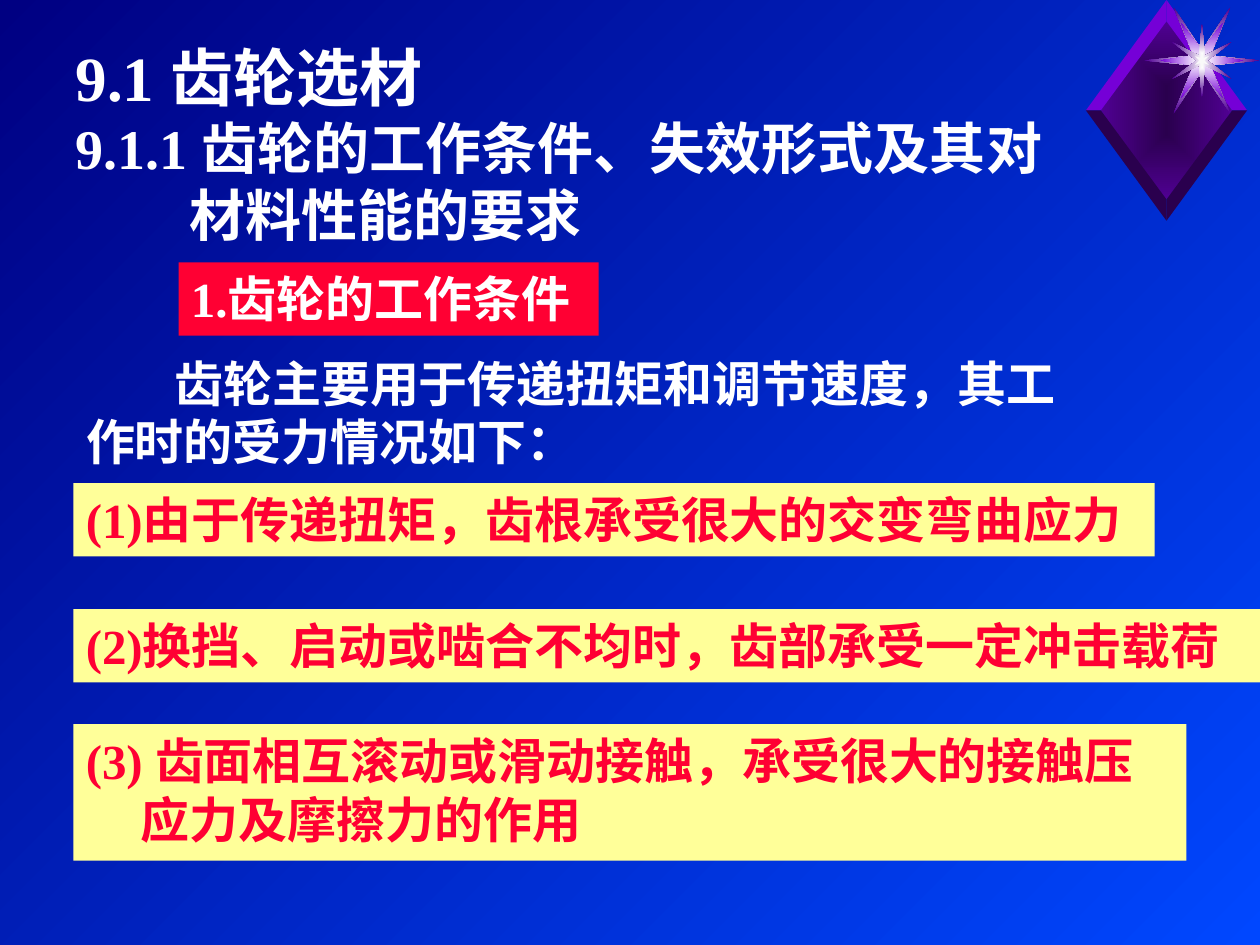
from dataclasses import dataclass

from lxml.etree import SubElement
from pptx import Presentation
from pptx.dml.color import RGBColor
from pptx.enum.lang import MSO_LANGUAGE_ID
from pptx.enum.shapes import MSO_SHAPE
from pptx.enum.text import MSO_ANCHOR, MSO_AUTO_SIZE, PP_ALIGN
from pptx.oxml.ns import qn
from pptx.util import Cm, Pt


@dataclass(frozen=True)
class Theme:
    font: str = "Times New Roman"
    title_size: int = 36
    subtitle_size: int = 32
    text_size: int = 28
    white: str = "FFFFFF"
    red: str = "FF0033"
    yellow: str = "FFFF99"
    blue: str = "0047FF"
    navy: str = "000082"
    violet: str = "7500D7"
    purple: str = "500093"
    plum: str = "2A004E"
    glint: str = "F9F9F9"


@dataclass(frozen=True)
class Box:
    left: float
    top: float
    width: float
    height: float


THEME = Theme()


def fill_solid(shape, color):
    shape.fill.solid()
    shape.fill.fore_color.rgb = RGBColor.from_string(color)


def fill_gradient(fill, first, last):
    fill.gradient()
    for stop, color in zip(fill.gradient_stops, (first, last)):
        stop.color.rgb = RGBColor.from_string(color)


def fill_from_center(shape, center, edge):
    fill_gradient(shape.fill, center, edge)
    gradient = shape._element.spPr.find(qn("a:gradFill"))
    gradient.remove(gradient.find(qn("a:lin")))
    path = SubElement(gradient, qn("a:path"), path="rect")
    SubElement(path, qn("a:fillToRect"), dict.fromkeys("ltrb", "50000"))


def strip_effects(shape):
    shape.line.fill.background()
    shape.shadow.inherit = False


def place(shape, box):
    shape.left, shape.top = Cm(box.left), Cm(box.top)
    shape.width, shape.height = Cm(box.width), Cm(box.height)


def prepare_frame(shape):
    frame = shape.text_frame
    frame.word_wrap = True
    frame.auto_size = MSO_AUTO_SIZE.NONE
    frame.vertical_anchor = MSO_ANCHOR.TOP
    return frame


def format_paragraph(para, size, color, margin=0, indent=0):
    properties = para._p.get_or_add_pPr()
    properties.set("marL", str(Cm(margin)))
    properties.set("indent", str(Cm(indent)))
    para.alignment = PP_ALIGN.LEFT
    para.space_before = Pt(0)
    SubElement(properties, qn("a:buNone"))
    for span in para.runs:
        span.font.name = THEME.font
        span.font.size = Pt(size)
        span.font.bold = True
        span.font.color.rgb = RGBColor.from_string(color)
        span.font.language_id = MSO_LANGUAGE_ID.SIMPLIFIED_CHINESE


def add_polygon(group, points, origin):
    corners = [(Cm(origin[0] + x), Cm(origin[1] + y)) for x, y in points]
    builder = group.shapes.build_freeform(*corners[0])
    builder.add_line_segments(corners[1:], close=True)
    shape = builder.convert_to_shape()
    strip_effects(shape)
    return shape


def star_outline(tip_x, first, second, tip_y):
    mirrored = [(-x, y) for x, y in (second, first)]
    half = [tip_x, first, second, tip_y, *mirrored]
    return half + [(-x, -y) for x, y in half]


def add_gem(page, box):
    group = page.shapes.add_group_shape()
    inset_x, inset_y = 0.3, 0.43
    half_width, half_height = box.width / 2, box.height / 2
    core = group.shapes.add_shape(
        MSO_SHAPE.DIAMOND,
        Cm(box.left + inset_x), Cm(box.top + inset_y),
        Cm(box.width - 2 * inset_x), Cm(box.height - 2 * inset_y),
    )
    strip_effects(core)
    fill_from_center(core, THEME.plum, THEME.purple)

    center = (box.left + half_width, box.top + half_height)
    facet = [
        (0, half_height - inset_y), (0, half_height),
        (half_width, 0), (half_width - inset_x, 0),
    ]
    for vertical, color in ((-1, THEME.violet), (1, THEME.plum)):
        for side in (1, -1):
            points = [(side * x, vertical * y) for x, y in facet]
            fill_solid(add_polygon(group, points, center), color)

    sparkle = (box.left + 2.34, box.top + 1.22)
    stars = (
        (((1.16, 0), (0.17, 0.1), (0.57, 1.07), (0, 0.2)), THEME.purple),
        (((0.84, 0), (0.17, 0.1), (0.42, 0.76), (0, 0.2)), THEME.violet),
        (((0.11, 0), (0.6, 0.37), (0.06, 0.1), (0, 0.74)), THEME.purple),
    )
    for quarter, edge in stars:
        star = add_polygon(group, star_outline(*quarter), sparkle)
        fill_from_center(star, THEME.white, edge)
    spark = star_outline((0.05, 0), (0.14, 0.09), (0.03, 0.05), (0, 0.18))
    fill_solid(add_polygon(group, spark, sparkle), THEME.glint)


def fill_title(page, box):
    title = page.shapes.title
    place(title, box)
    frame = prepare_frame(title)
    frame.text = "9.1 齿轮选材\n9.1.1 齿轮的工作条件、失效形式及其对材料性能的要求"
    chapter, section = frame.paragraphs
    format_paragraph(chapter, THEME.title_size, THEME.white)
    format_paragraph(section, THEME.subtitle_size, THEME.white, 2.3, -2.3)


def fill_body(page, box):
    body = page.placeholders[1]
    place(body, box)
    frame = prepare_frame(body)
    frame.text = "齿轮主要用于传递扭矩和调节速度，其工作时的受力情况如下："
    format_paragraph(frame.paragraphs[0], THEME.text_size, THEME.white, 0, 1.78)


def add_banner(page, box, text, background, color, hanging=0):
    banner = page.shapes.add_shape(
        MSO_SHAPE.RECTANGLE,
        Cm(box.left), Cm(box.top), Cm(box.width), Cm(box.height),
    )
    strip_effects(banner)
    fill_solid(banner, background)
    frame = prepare_frame(banner)
    frame.text = text
    format_paragraph(frame.paragraphs[0], THEME.text_size, color, hanging, -hanging)


def build_page(deck):
    page = deck.slides.add_slide(deck.slide_layouts[1])
    backdrop = page.background.fill
    fill_gradient(backdrop, THEME.blue, THEME.navy)
    backdrop.gradient_angle = 135
    add_gem(page, Box(21.89, 0, 3.25, 4.45))
    fill_title(page, Box(1.27, 0.64, 20.75, 3.6))
    add_banner(page, Box(3.6, 5.29, 8.47, 1.48), "1.齿轮的工作条件", THEME.red, THEME.white)
    fill_body(page, Box(1.48, 6.99, 20.95, 2.54))
    loads = (
        (Box(1.48, 9.74, 21.8, 1.48), "(1)由于传递扭矩，齿根承受很大的交变弯曲应力", 0),
        (Box(1.48, 12.28, 23.92, 1.48), "(2)换挡、启动或啮合不均时，齿部承受一定冲击载荷", 0),
        (Box(1.48, 14.6, 22.44, 2.75), "(3) 齿面相互滚动或滑动接触，承受很大的接触压应力及摩擦力的作用", 1.11),
    )
    for box, text, hanging in loads:
        add_banner(page, box, text, THEME.yellow, THEME.red, hanging)


def main():
    deck = Presentation()
    deck.slide_width, deck.slide_height = Cm(25.4), Cm(19.05)
    build_page(deck)
    deck.save("out.pptx")


if __name__ == "__main__":
    main()
